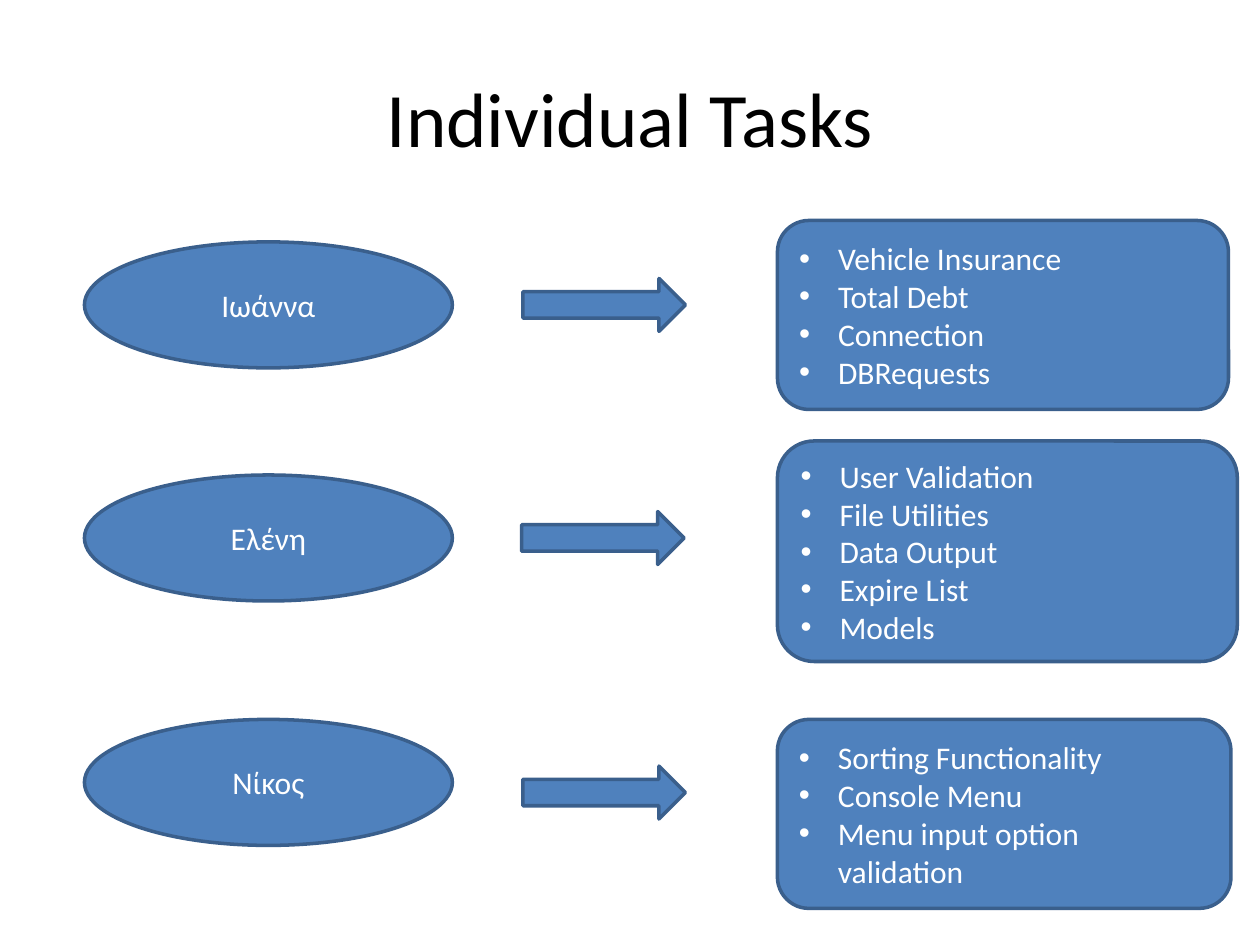
"""Builds the Individual Tasks slide: each person points to a list of tasks."""
from lxml.etree import SubElement
from pptx import Presentation
from pptx.dml.color import RGBColor
from pptx.enum.shapes import MSO_SHAPE
from pptx.enum.text import MSO_ANCHOR, PP_ALIGN
from pptx.oxml.ns import qn
from pptx.util import Inches, Pt

BLUE = RGBColor(0x4F, 0x81, 0xBD)
DARK_BLUE = RGBColor(0x3A, 0x5F, 0x8C)
WHITE = RGBColor(0xFF, 0xFF, 0xFF)
BLACK = RGBColor(0, 0, 0)

TITLE = "Individual Tasks"
ROWS = [
    {"name": "Ιωάννα", "name_top": 1.92, "arrow": (4.15, 2.21), "box": (1.75, 3.58, 1.5),
     "tasks": ["Vehicle Insurance", "Total Debt", "Connection", "DBRequests"]},
    {"name": "Ελένη", "name_top": 3.77, "arrow": (4.14, 4.06), "box": (3.5, 3.65, 1.75),
     "tasks": ["User Validation", "File Utilities", "Data Output", "Expire List", "Models"]},
    {"name": "Νίκος", "name_top": 5.71, "arrow": (4.15, 6.08), "box": (5.71, 3.6, 1.5),
     "tasks": ["Sorting Functionality", "Console Menu", "Menu input option validation"]},
]
NAME_LEFT, NAME_SIZE = 0.67, (2.92, 1)
ARROW_SIZE = (1.29, 0.42)
BOX_LEFT = 6.17
INDENT = Inches(0.31)


def write(tf, lines, size, color, align):
    tf.word_wrap = True
    tf.vertical_anchor = MSO_ANCHOR.MIDDLE
    for i, line in enumerate(lines):
        p = tf.add_paragraph() if i else tf.paragraphs[0]
        p.alignment = align
        r = p.add_run()
        r.text = line
        r.font.color.rgb = color
        for key, value in {"size": Pt(size), "name": "Calibri"}.items():
            setattr(r.font, key, value)


def add_bullets(tf):
    for p in tf.paragraphs:
        pPr = p._p.get_or_add_pPr()
        pPr.set("marL", str(INDENT))
        pPr.set("indent", str(-INDENT))
        SubElement(pPr, qn("a:buFont")).set("typeface", "Arial")
        SubElement(pPr, qn("a:buChar")).set("char", "•")


def add_blue(s, kind, left, top, width, height):
    sp = s.shapes.add_shape(kind, *map(Inches, (left, top, width, height)))
    sp.shadow.inherit = False
    sp.fill.solid()
    sp.fill.fore_color.rgb = BLUE
    sp.line.color.rgb = DARK_BLUE
    sp.line.width = Pt(2)
    return sp


def main():
    prs = Presentation()
    prs.slide_width, prs.slide_height = Inches(10), Inches(7.5)
    s = prs.slides.add_slide(prs.slide_layouts[5])
    title = s.shapes.title
    box = {"left": 0.5, "top": 0.3, "width": 9, "height": 1.25}
    for key, value in box.items():
        setattr(title, key, Inches(value))
    write(title.text_frame, [TITLE], 44, BLACK, PP_ALIGN.CENTER)

    for row in ROWS:
        sp = add_blue(s, MSO_SHAPE.OVAL, NAME_LEFT, row["name_top"], *NAME_SIZE)
        write(sp.text_frame, [row["name"]], 18, WHITE, PP_ALIGN.CENTER)
        add_blue(s, MSO_SHAPE.RIGHT_ARROW, *row["arrow"], *ARROW_SIZE)
        sp = add_blue(s, MSO_SHAPE.ROUNDED_RECTANGLE, BOX_LEFT, *row["box"])
        write(sp.text_frame, row["tasks"], 18, WHITE, PP_ALIGN.LEFT)
        add_bullets(sp.text_frame)

    prs.save("out.pptx")


if __name__ == "__main__":
    main()
